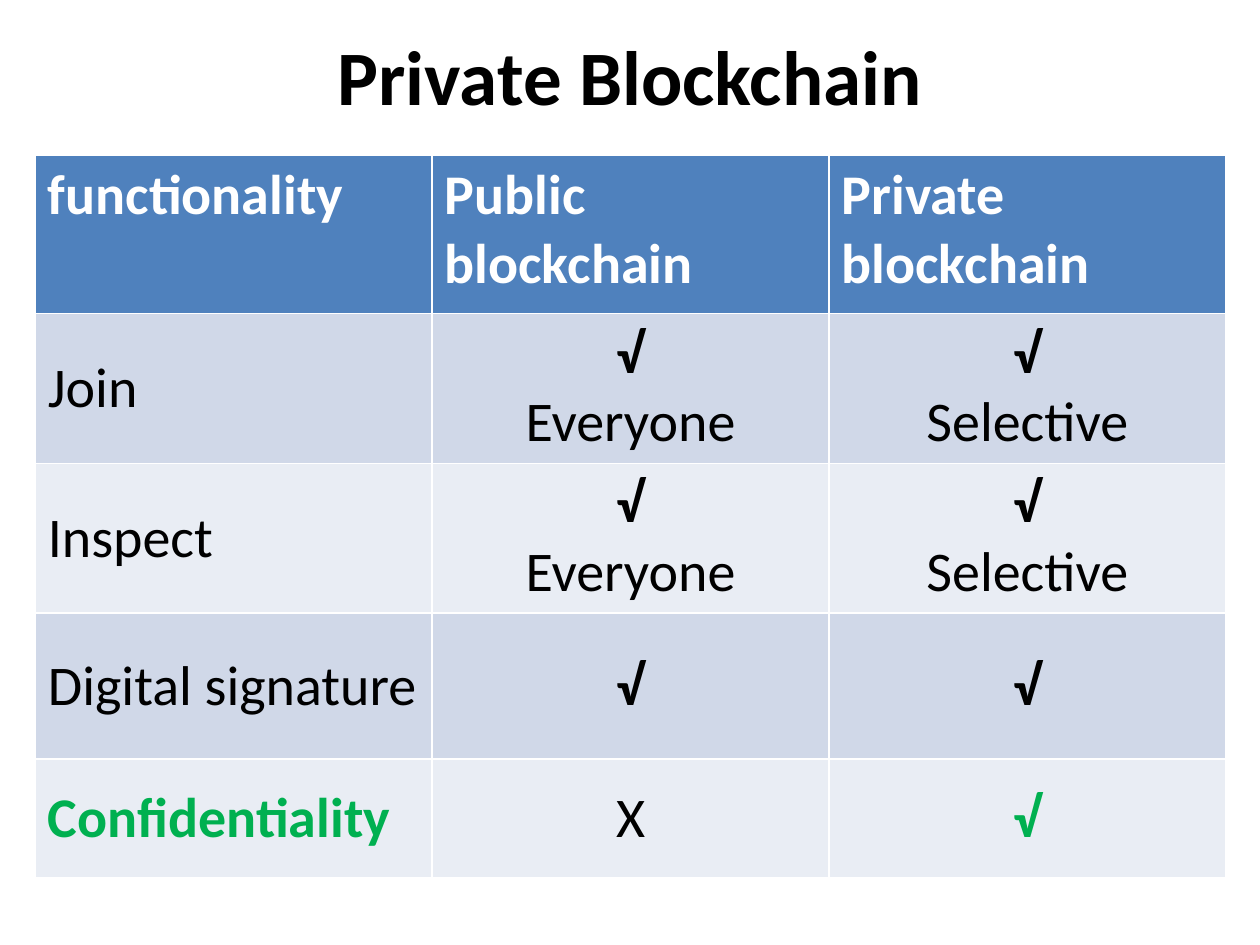
import pptx
import pptx.util
import pptx.dml.color
import pptx.enum.text

Inches, Pt = pptx.util.Inches, pptx.util.Pt
RGBColor = pptx.dml.color.RGBColor
PP_ALIGN = pptx.enum.text.PP_ALIGN
MSO_ANCHOR = pptx.enum.text.MSO_ANCHOR

WHITE = RGBColor(0xFF, 0xFF, 0xFF)
BLACK = RGBColor(0, 0, 0)
GREEN = RGBColor(0x00, 0xB0, 0x50)
HEADER_FILL = RGBColor(0x4F, 0x81, 0xBD)
BAND_FILLS = [RGBColor(0xD0, 0xD8, 0xE8), RGBColor(0xE9, 0xED, 0xF4)]

FONT = "Calibri"
TITLE = "Private Blockchain"
CHECK = "√"
ROWS = [
    ["functionality", "Public blockchain", "Private blockchain"],
    ["Join", f"{CHECK}\nEveryone", f"{CHECK}\nSelective"],
    ["Inspect", f"{CHECK}\nEveryone", f"{CHECK}\nSelective"],
    ["Digital signature", CHECK, CHECK],
    ["Confidentiality", "X", CHECK],
]
HIGHLIGHTS = {(4, 0), (4, 2)}
ROW_HEIGHTS = [1.26, 1.05, 1, 1.16, 0.94]
COLUMN_WIDTH = 3.15


def set_font(p, size, color, bold):
    p.font.name = FONT
    p.font.size = Pt(size)
    p.font.color.rgb = color
    p.font.bold = bold


def fill_cell(cell, row, col):
    header = row == 0
    cell.text = ROWS[row][col]
    cell.fill.solid()
    cell.fill.fore_color.rgb = HEADER_FILL if header else BAND_FILLS[(row - 1) % 2]
    paragraphs = cell.text_frame.paragraphs
    if not header and len(paragraphs) == 1:
        cell.vertical_anchor = MSO_ANCHOR.MIDDLE
    highlight = (row, col) in HIGHLIGHTS
    color = WHITE if header else GREEN if highlight else BLACK
    for p in paragraphs:
        if not header and col > 0:
            p.alignment = PP_ALIGN.CENTER
        set_font(p, 32, color, header or highlight or p.text == CHECK)


prs = pptx.Presentation()
prs.slide_width, prs.slide_height = Inches(10), Inches(7.5)
slide = prs.slides.add_slide(prs.slide_layouts[5])

title = slide.shapes.title
title.left, title.top = Inches(0.5), Inches(-0.03)
title.width, title.height = Inches(9), Inches(1.25)
title.text_frame.text = TITLE
title.text_frame.vertical_anchor = MSO_ANCHOR.MIDDLE
p = title.text_frame.paragraphs[0]
p.alignment = PP_ALIGN.CENTER
set_font(p, 44, BLACK, True)

n_cols = len(ROWS[0])
table = slide.shapes.add_table(
    len(ROWS), n_cols, Inches(0.28), Inches(1.23),
    Inches(COLUMN_WIDTH * n_cols), Inches(sum(ROW_HEIGHTS))).table
for column in table.columns:
    column.width = Inches(COLUMN_WIDTH)
for row, height in enumerate(ROW_HEIGHTS):
    table.rows[row].height = Inches(height)
    for col in range(n_cols):
        fill_cell(table.cell(row, col), row, col)

prs.save("out.pptx")
